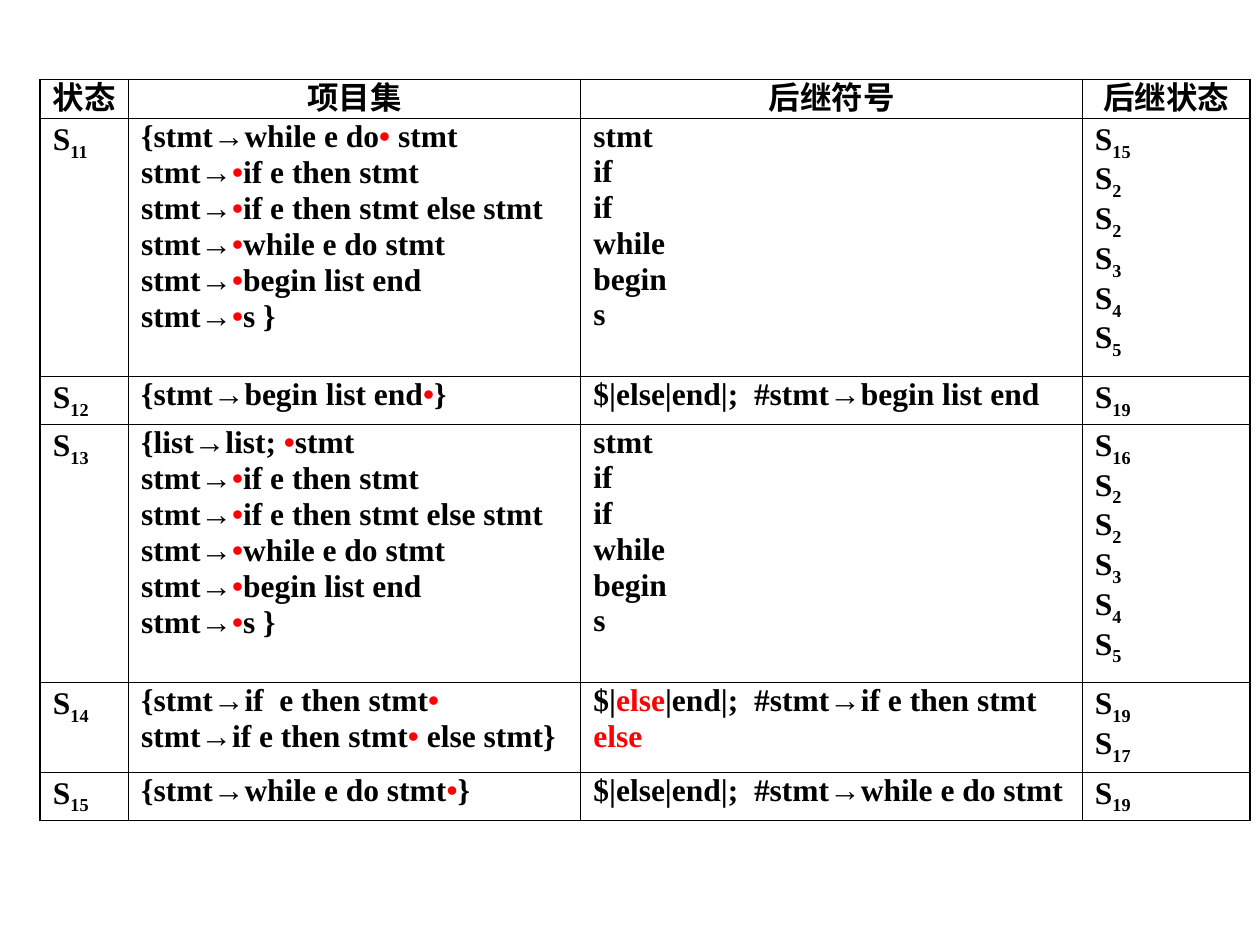
from itertools import groupby

from lxml.etree import SubElement
from pptx import Presentation
from pptx.dml.color import RGBColor
from pptx.enum.text import PP_ALIGN
from pptx.oxml import parse_xml
from pptx.oxml.ns import nsdecls, qn
from pptx.util import Inches, Pt

BLACK = RGBColor(0x00, 0x00, 0x00)
RED = RGBColor(0xFF, 0x00, 0x00)

COLUMN_WIDTHS = [0.7, 3.59, 3.98, 1.33]
ROW_HEIGHTS = [0.31, 2.05, 0.38, 2.05, 0.71, 0.38]

HEADINGS = ["状态", "项目集", "后继符号", "后继状态"]
STMT_ITEMS = [
    "stmt→•if e then stmt",
    "stmt→•if e then stmt else stmt",
    "stmt→•while e do stmt",
    "stmt→•begin list end",
    "stmt→•s }",
]
STMT_SYMBOLS = ["stmt", "if", "if", "while", "begin", "s"]
STMT_STATES = ["S2", "S2", "S3", "S4", "S5"]

# Digits are subscripts; text between asterisks is red.
STATES = [
    (["S11"], ["{stmt→while e do• stmt", *STMT_ITEMS],
     STMT_SYMBOLS, ["S15", *STMT_STATES]),
    (["S12"], ["{stmt→begin list end•}"],
     ["$|else|end|;  #stmt→begin list end"], ["S19"]),
    (["S13"], ["{list→list; •stmt", *STMT_ITEMS],
     STMT_SYMBOLS, ["S16", *STMT_STATES]),
    (["S14"], ["{stmt→if  e then stmt•", "stmt→if e then stmt• else stmt}"],
     ["$|*else*|end|;  #stmt→if e then stmt", "*else*"], ["S19", "S17"]),
    (["S15"], ["{stmt→while e do stmt•}"],
     ["$|else|end|;  #stmt→while e do stmt"], ["S19"]),
]


def char_role(char):
    if char.isdigit():
        return "subscript"
    return {"•": "dot", "→": "arrow"}.get(char, "plain")


class TableSlide:
    text_font = "Times New Roman"
    arrow_font = "Arial"
    heading_font = "Noto Sans CJK SC"
    text_size = Pt(18)
    thin = Pt(0.45)
    thick = Pt(1.08)

    def __init__(self, presentation):
        self.slide = presentation.slides.add_slide(presentation.slide_layouts[6])

    def add_run(self, paragraph, text, font_name, color=BLACK, subscript=False):
        run = paragraph.add_run()
        run.text = text
        font = run.font
        font.size, font.bold, font.name = self.text_size, True, font_name
        font.color.rgb = color
        properties = run._r.get_or_add_rPr()
        SubElement(properties, qn("a:ea")).set("typeface", font_name)
        if subscript:
            properties.set("baseline", "-25000")

    def add_production(self, paragraph, line):
        """Write one grammar line, styling dots, arrows and subscripts."""
        for index, part in enumerate(line.split("*")):
            for role, chars in groupby(part, char_role):
                red = role == "dot" or index % 2 == 1
                self.add_run(
                    paragraph, "".join(chars),
                    self.arrow_font if role == "arrow" else self.text_font,
                    RED if red else BLACK, role == "subscript")

    def fill_cell(self, cell, lines, heading=False):
        frame = cell.text_frame
        if heading:
            cell.margin_top, cell.margin_bottom = Inches(0.04), Inches(0.01)
        for index, line in enumerate(lines):
            paragraph = frame.add_paragraph() if index else frame.paragraphs[0]
            paragraph.space_before = Pt(4.5 if index else 0)
            paragraph.line_spacing = 0.7 if heading else 0.8
            if heading:
                paragraph.alignment = PP_ALIGN.CENTER
                self.add_run(paragraph, line, self.heading_font)
            else:
                self.add_production(paragraph, line)

    def set_borders(self, cell, left, right, top, bottom):
        properties = cell._tc.get_or_add_tcPr()
        for index, (side, width) in enumerate(
                zip("LRTB", (left, right, top, bottom))):
            properties.insert(index, parse_xml(
                f'<a:ln{side} {nsdecls("a")} w="{width}"><a:solidFill>'
                f'<a:srgbClr val="{BLACK}"/></a:solidFill></a:ln{side}>'))

    def add_table(self, left, top, rows):
        last_column = len(COLUMN_WIDTHS) - 1
        table = self.slide.shapes.add_table(
            len(rows), len(COLUMN_WIDTHS), left, top,
            Inches(sum(COLUMN_WIDTHS)), Inches(sum(ROW_HEIGHTS))).table
        table.first_row = table.horz_banding = False
        for column, width in zip(table.columns, COLUMN_WIDTHS):
            column.width = Inches(width)
        for r, (row, height) in enumerate(zip(table.rows, ROW_HEIGHTS)):
            row.height = Inches(height)
            for c, cell in enumerate(row.cells):
                cell.fill.background()
                self.fill_cell(cell, rows[r][c], heading=r == 0)
                self.set_borders(
                    cell,
                    left=self.thick if c == 0 else self.thin,
                    right=self.thick if c == last_column else self.thin,
                    top=self.thick if r == 0 else self.thin,
                    bottom=self.thin)


def main():
    presentation = Presentation()
    presentation.slide_width = Inches(10)
    presentation.slide_height = Inches(7.5)
    headings = [[heading] for heading in HEADINGS]
    TableSlide(presentation).add_table(
        Inches(0.32), Inches(0.63), [headings, *STATES])
    presentation.save("out.pptx")


if __name__ == "__main__":
    main()
